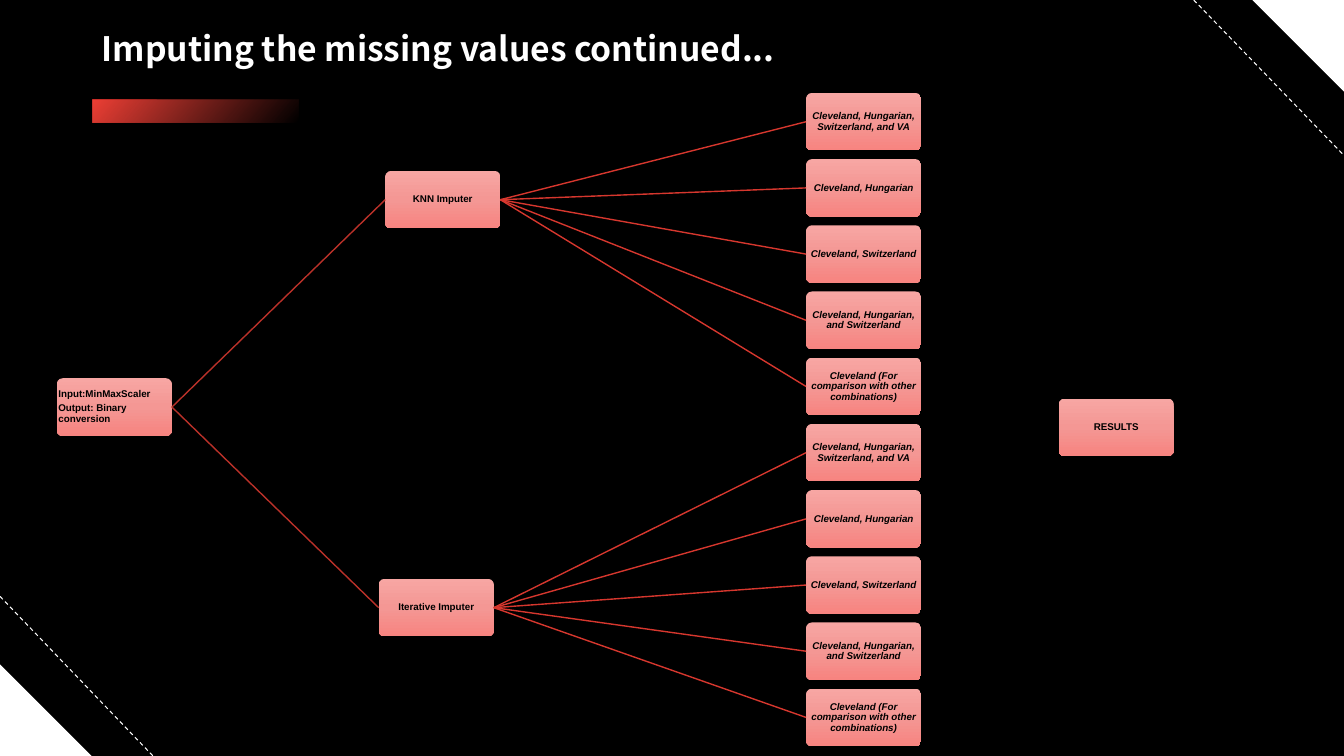
from dataclasses import dataclass

from lxml.etree import SubElement
from pptx import Presentation
from pptx.dml.color import RGBColor
from pptx.enum.dml import MSO_LINE
from pptx.enum.shapes import MSO_CONNECTOR, MSO_SHAPE
from pptx.enum.text import MSO_ANCHOR, MSO_AUTO_SIZE, PP_ALIGN
from pptx.oxml.ns import qn
from pptx.shapes.autoshape import Shape
from pptx.shapes.connector import Connector
from pptx.slide import Slide
from pptx.util import Pt


@dataclass(frozen=True)
class Stop:
    position: int
    color: str
    opacity: int = 100


@dataclass(frozen=True)
class Theme:
    background: str = "000000"
    light: str = "FFFFFF"
    node_text: str = "000000"
    branch: str = "BA3129"
    twig: str = "D6372E"
    node_stops: tuple[Stop, ...] = (Stop(0, "F7A6A3"), Stop(50, "F49794"), Stop(100, "F78480"))
    accent_stops: tuple[Stop, ...] = (Stop(0, "EE4036"), Stop(99, "EE4036", 0), Stop(100, "EE4036", 0))
    title_font: str = "Noto Sans CJK TC"
    node_font: str = "Arial"
    title_size: float = 24
    node_size: float = 7


@dataclass(frozen=True)
class Node:
    left: float
    top: float
    lines: tuple[str, ...]
    italic: bool = False
    align: PP_ALIGN = PP_ALIGN.CENTER


@dataclass(frozen=True)
class Corner:
    left: float
    top: float
    rotation: float
    dash: tuple[float, float, float, float]


THEME = Theme()
SLIDE_WIDTH, SLIDE_HEIGHT = 960, 540
NODE_WIDTH, NODE_HEIGHT = 82.2, 41.1
CORNER_SIZE = 65.5
LEAF_LEFT, LEAF_TOP, LEAF_PITCH = 575.8, 66.4, 47.28
LEFT_SITE, RIGHT_SITE = 1, 3

RESULTS = Node(756.2, 284.7, ("RESULTS",))
SCALER = Node(40.6, 270.2, ("Input:MinMaxScaler", "Output: Binary conversion"), align=PP_ALIGN.LEFT)
IMPUTERS = (
    Node(275.2, 122.1, ("KNN Imputer",)),
    Node(270.5, 413.5, ("Iterative Imputer",)),
)
DATASETS = (
    "Cleveland, Hungarian, Switzerland, and VA",
    "Cleveland, Hungarian",
    "Cleveland, Switzerland",
    "Cleveland, Hungarian, and Switzerland",
    "Cleveland (For comparison with other combinations)",
)
CORNERS = (
    Corner(0, SLIDE_HEIGHT - CORNER_SIZE, 0, (0, 426, 109.3, SLIDE_HEIGHT)),
    Corner(SLIDE_WIDTH - CORNER_SIZE, 0, 180, (852.7, 0, SLIDE_WIDTH, 111)),
)


def fill_gradient(shape: Shape, stops: tuple[Stop, ...], angle: int) -> None:
    """Fill a shape with any number of stops, at a clockwise angle."""
    shape.fill.gradient()
    gradient = shape._element.spPr.find(qn("a:gradFill"))
    for child in list(gradient):
        gradient.remove(child)
    stop_list = SubElement(gradient, qn("a:gsLst"))
    for stop in stops:
        mark = SubElement(stop_list, qn("a:gs"), pos=str(stop.position * 1000))
        color = SubElement(mark, qn("a:srgbClr"), val=stop.color)
        if stop.opacity < 100:
            SubElement(color, qn("a:alpha"), val=str(stop.opacity * 1000))
    SubElement(gradient, qn("a:lin"), ang=str(angle * 60000), scaled="0")


def add_plain_shape(page: Slide, kind: MSO_SHAPE, left: float, top: float,
                    width: float, height: float) -> Shape:
    shape = page.shapes.add_shape(kind, Pt(left), Pt(top), Pt(width), Pt(height))
    shape.shadow.inherit = False
    shape.line.fill.background()
    return shape


def add_line(page: Slide, ends: tuple[float, float, float, float], color: str,
             width: float) -> Connector:
    line = page.shapes.add_connector(MSO_CONNECTOR.STRAIGHT, *(Pt(value) for value in ends))
    line.line.color.rgb = RGBColor.from_string(color)
    line.line.width = Pt(width)
    SubElement(line._element.spPr, qn("a:effectLst"))
    return line


def add_corner(page: Slide, corner: Corner) -> None:
    triangle = add_plain_shape(page, MSO_SHAPE.RIGHT_TRIANGLE, corner.left, corner.top,
                               CORNER_SIZE, CORNER_SIZE)
    triangle.rotation = corner.rotation
    triangle.fill.solid()
    triangle.fill.fore_color.rgb = RGBColor.from_string(THEME.light)
    add_line(page, corner.dash, THEME.light, 0.75).line.dash_style = MSO_LINE.DASH


def add_accent(page: Slide) -> None:
    bar = add_plain_shape(page, MSO_SHAPE.RECTANGLE, 131.6, 5.8, 16.8, 147)
    bar.rotation = 270
    bar._element.spPr.find(qn("a:xfrm")).set("flipH", "1")
    fill_gradient(bar, THEME.accent_stops, 50)


def format_title(page: Slide, text: str) -> None:
    title = page.shapes.title
    title.left, title.top, title.width, title.height = Pt(65.5), Pt(13), Pt(828.7), Pt(46)
    frame = title.text_frame
    frame.auto_size = MSO_AUTO_SIZE.NONE
    frame.word_wrap = True
    frame.vertical_anchor = MSO_ANCHOR.MIDDLE
    para = frame.paragraphs[0]
    para.alignment = PP_ALIGN.LEFT
    para.line_spacing = 0.9
    span = para.add_run()
    span.text = text
    span.font.name = THEME.title_font
    span.font.size = Pt(THEME.title_size)
    span.font.bold = True
    span.font.color.rgb = RGBColor.from_string(THEME.light)


def add_node(page: Slide, node: Node) -> Shape:
    box = add_plain_shape(page, MSO_SHAPE.ROUNDED_RECTANGLE, node.left, node.top,
                          NODE_WIDTH, NODE_HEIGHT)
    box.adjustments[0] = 0.1
    fill_gradient(box, THEME.node_stops, 90)
    frame = box.text_frame
    frame.word_wrap = True
    frame.vertical_anchor = MSO_ANCHOR.MIDDLE
    frame.margin_left = frame.margin_right = frame.margin_top = frame.margin_bottom = 0
    for index, text in enumerate(node.lines):
        para = frame.add_paragraph() if index else frame.paragraphs[0]
        para.alignment = node.align
        para.line_spacing = 0.9
        if index:
            para.space_before = Pt(2.5)
        span = para.add_run()
        span.text = text
        span.font.name = THEME.node_font
        span.font.size = Pt(THEME.node_size)
        span.font.bold = True
        span.font.italic = node.italic
        span.font.color.rgb = RGBColor.from_string(THEME.node_text)
    return box


def join_nodes(page: Slide, parent: Shape, child: Shape, color: str) -> None:
    link = add_line(page, (0, 0, 0, 0), color, 1)
    link.begin_connect(parent, RIGHT_SITE)
    link.end_connect(child, LEFT_SITE)


def main() -> None:
    deck = Presentation()
    deck.slide_width, deck.slide_height = Pt(SLIDE_WIDTH), Pt(SLIDE_HEIGHT)
    page = deck.slides.add_slide(deck.slide_layouts[5])
    page.background.fill.solid()
    page.background.fill.fore_color.rgb = RGBColor.from_string(THEME.background)

    # Decoration and title
    for corner in CORNERS:
        add_corner(page, corner)
    add_accent(page)
    format_title(page, "Imputing the missing values continued...")

    # Tree: scaler, imputers, data set combinations
    add_node(page, RESULTS)
    scaler = add_node(page, SCALER)
    for branch, imputer_node in enumerate(IMPUTERS):
        imputer = add_node(page, imputer_node)
        join_nodes(page, scaler, imputer, THEME.branch)
        for row, dataset in enumerate(DATASETS, start=branch * len(DATASETS)):
            leaf = add_node(page, Node(LEAF_LEFT, LEAF_TOP + row * LEAF_PITCH, (dataset,), italic=True))
            join_nodes(page, imputer, leaf, THEME.twig)

    deck.save("out.pptx")


if __name__ == "__main__":
    main()
